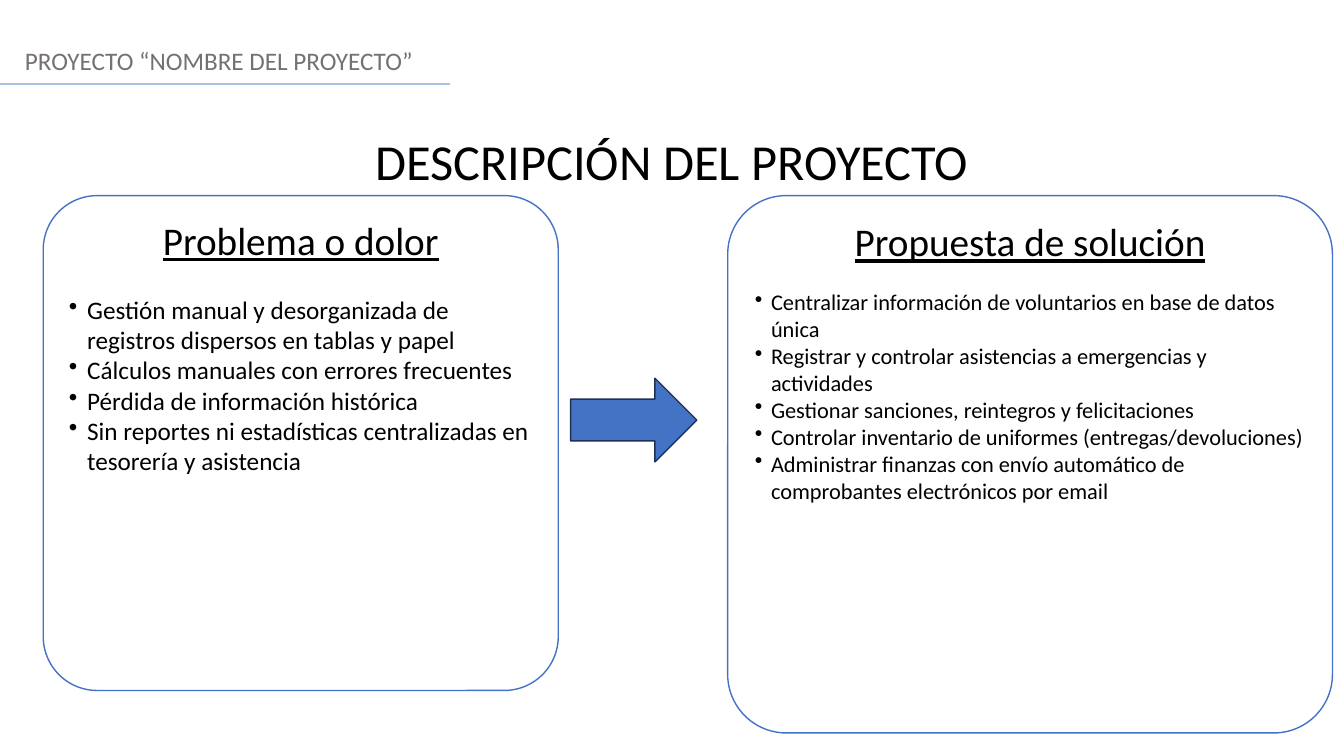
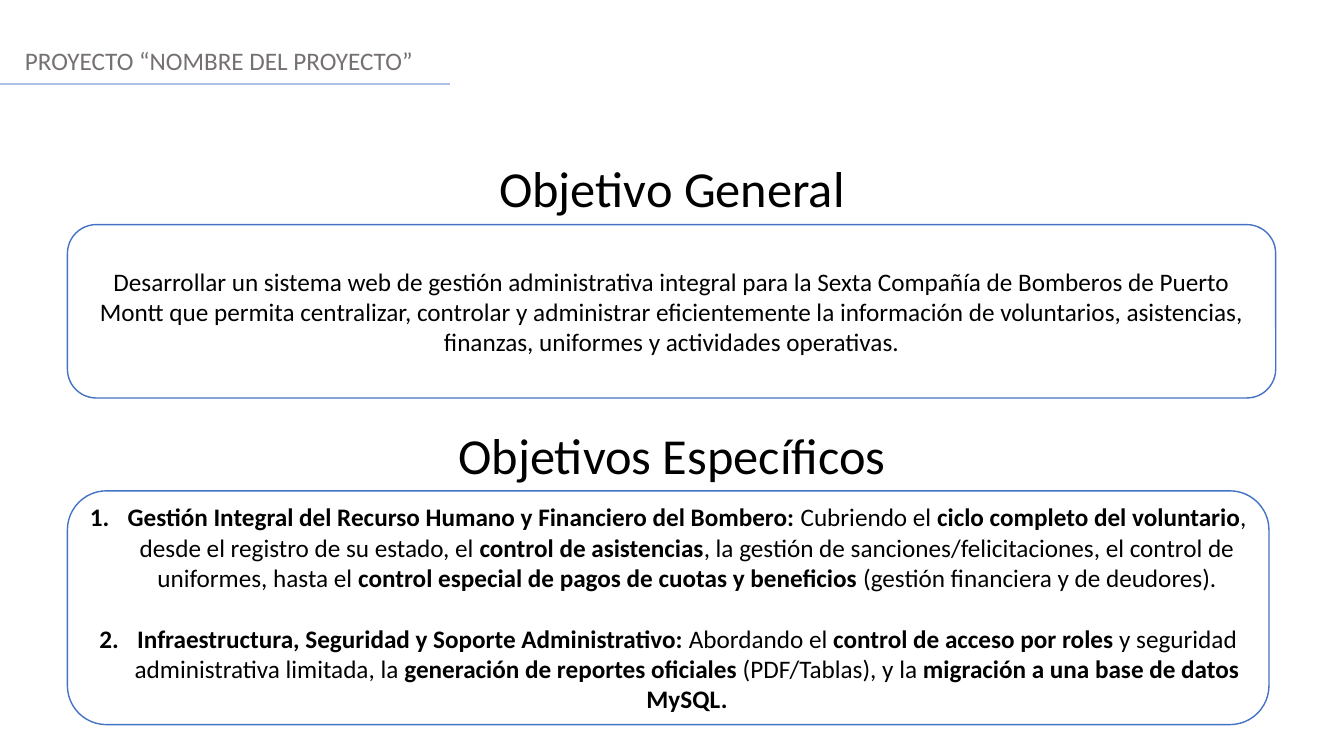
from dataclasses import dataclass

from lxml import etree
from pptx import Presentation
from pptx.dml.color import RGBColor
from pptx.enum import shapes, text
from pptx.oxml import ns
from pptx.util import Cm, Pt


@dataclass(frozen=True)
class Theme:
    font: str = "Calibri"
    ink: str = "000000"
    muted: str = "767171"
    paper: str = "FFFFFF"
    accent: str = "4472C4"
    arrow_edge: str = "1E3256"
    rule: str = "ABC0E4"
    title_size: int = 36
    heading_size: int = 28
    body_size: int = 18
    small_size: int = 16
    outline: float = 1
    rule_width: float = 1.25


THEME = Theme()
SLIDE_WIDTH, SLIDE_HEIGHT = 33.87, 19.05
TITLE_HEIGHT = 1.8
TITLE_ONLY = 5

PROBLEMS = [
    "Gestión manual y desorganizada de registros dispersos en tablas y papel",
    "Cálculos manuales con errores frecuentes",
    "Pérdida de información histórica",
    "Sin reportes ni estadísticas centralizadas en tesorería y asistencia",
]
SOLUTIONS = [
    "Centralizar información de voluntarios en base de datos única",
    "Registrar y controlar asistencias a emergencias y actividades",
    "Gestionar sanciones, reintegros y felicitaciones",
    "Controlar inventario de uniformes (entregas/devoluciones)",
    "Administrar finanzas con envío automático de comprobantes electrónicos por email",
]
GENERAL_GOAL = (
    "Desarrollar un sistema web de gestión administrativa integral para la Sexta "
    "Compañía de Bomberos de Puerto Montt que permita centralizar, controlar y "
    "administrar eficientemente la información de voluntarios, asistencias, "
    "finanzas, uniformes y actividades operativas."
)
# Double asterisks enclose bold text
SPECIFIC_GOALS = [
    "**Gestión Integral del Recurso Humano y Financiero del Bombero:** Cubriendo el "
    "**ciclo completo del voluntario**, desde el registro de su estado, el "
    "**control de asistencias**, la gestión de sanciones/felicitaciones, el control "
    "de uniformes, hasta el **control especial de pagos de cuotas y beneficios** "
    "(gestión financiera y de deudores).",
    "**Infraestructura, Seguridad y Soporte Administrativo:** Abordando el "
    "**control de acceso por roles** y seguridad administrativa limitada, la "
    "**generación de reportes oficiales** (PDF/Tablas), y la "
    "**migración a una base de datos MySQL.**",
]


# Text helpers
def color(value):
    return RGBColor.from_string(value)


def write(paragraph, content, size, ink=THEME.ink, align=text.PP_ALIGN.LEFT):
    """Fill a paragraph, switching bold at each double asterisk."""
    paragraph.alignment = align
    for index, part in enumerate(content.split("**")):
        if not part:
            continue
        run = paragraph.add_run()
        run.text = part
        run.font.name = THEME.font
        run.font.size = Pt(size)
        run.font.bold = index % 2 == 1
        run.font.color.rgb = color(ink)


def add_marker(paragraph, hanging, tag, **attributes):
    properties = paragraph._p.get_or_add_pPr()
    properties.set("marL", str(Cm(hanging)))
    properties.set("indent", str(-Cm(hanging)))
    etree.SubElement(properties, ns.qn(tag), attributes)


# Slide elements
def place_title(shape, content, top):
    shape.left, shape.top = Cm(0), Cm(top)
    shape.width, shape.height = Cm(SLIDE_WIDTH), Cm(TITLE_HEIGHT)
    frame = shape.text_frame
    frame.word_wrap = True
    frame.auto_size = text.MSO_AUTO_SIZE.NONE
    frame.vertical_anchor = text.MSO_ANCHOR.TOP
    write(frame.paragraphs[0], content, THEME.title_size, align=text.PP_ALIGN.CENTER)


def add_section_title(slide, content, top):
    place_title(slide.shapes.add_textbox(0, 0, 0, 0), content, top)


def add_header(slide):
    label = slide.shapes.add_textbox(Cm(0.38), Cm(1.02), Cm(32.5), Cm(1.02))
    label.text_frame.word_wrap = True
    write(label.text_frame.paragraphs[0], "PROYECTO “NOMBRE DEL PROYECTO”",
          THEME.body_size, THEME.muted)
    rule = slide.shapes.add_connector(
        shapes.MSO_CONNECTOR.STRAIGHT, Cm(0), Cm(2.11), Cm(11.35), Cm(2.11))
    rule.line.color.rgb = color(THEME.rule)
    rule.line.width = Pt(THEME.rule_width)
    etree.SubElement(rule._element.spPr, ns.qn("a:effectLst"))


def add_block(slide, kind, box, fill, edge):
    shape = slide.shapes.add_shape(kind, *map(Cm, box))
    shape.shadow.inherit = False
    shape.fill.solid()
    shape.fill.fore_color.rgb = color(fill)
    shape.line.color.rgb = color(edge)
    shape.line.width = Pt(THEME.outline)
    return shape


def add_panel(slide, box, anchor=text.MSO_ANCHOR.MIDDLE):
    panel = add_block(slide, shapes.MSO_SHAPE.ROUNDED_RECTANGLE, box,
                      THEME.paper, THEME.accent)
    panel.text_frame.word_wrap = True
    panel.text_frame.vertical_anchor = anchor
    return panel


def add_bullet_panel(slide, box, heading, items, size, hanging, gap):
    panel = add_panel(slide, box, text.MSO_ANCHOR.TOP)
    panel.adjustments[0] = 0.109
    frame = panel.text_frame
    title = frame.paragraphs[0]
    write(title, heading, THEME.heading_size, align=text.PP_ALIGN.CENTER)
    title.runs[0].font.underline = True
    title.space_after = Pt(gap)
    for item in items:
        paragraph = frame.add_paragraph()
        add_marker(paragraph, hanging, "a:buChar", char="•")
        write(paragraph, item, size)


def add_numbered_panel(slide, box, items):
    frame = add_panel(slide, box).text_frame
    for index, item in enumerate(items):
        paragraph = frame.add_paragraph() if index else frame.paragraphs[0]
        add_marker(paragraph, 0.95, "a:buAutoNum", type="arabicPeriod")
        if index:
            paragraph.space_before = Pt(22)
        write(paragraph, item, THEME.body_size, align=text.PP_ALIGN.CENTER)


def add_slide(presentation, title, title_top):
    slide = presentation.slides.add_slide(presentation.slide_layouts[TITLE_ONLY])
    place_title(slide.shapes.title, title, title_top)
    add_header(slide)
    return slide


# Slides
def build_description(presentation):
    slide = add_slide(presentation, "DESCRIPCIÓN DEL PROYECTO", 3.15)
    add_bullet_panel(slide, (1.09, 4.93, 12.98, 12.47), "Problema o dolor",
                     PROBLEMS, THEME.body_size, hanging=0.46, gap=22)
    add_bullet_panel(slide, (18.34, 4.93, 15.24, 13.54), "Propuesta de solución",
                     SOLUTIONS, THEME.small_size, hanging=0.41, gap=17)
    add_block(slide, shapes.MSO_SHAPE.RIGHT_ARROW, (14.38, 9.53, 3.18, 2.11),
              THEME.accent, THEME.arrow_edge)


def build_goals(presentation):
    slide = add_slide(presentation, "Objetivo General", 3.84)
    add_section_title(slide, "Objetivos Específicos", 10.57)
    general = add_panel(slide, (1.7, 5.66, 30.45, 4.37))
    write(general.text_frame.paragraphs[0], GENERAL_GOAL, THEME.body_size,
          align=text.PP_ALIGN.CENTER)
    add_numbered_panel(slide, (1.7, 12.37, 30.28, 5.89), SPECIFIC_GOALS)


def main():
    presentation = Presentation()
    presentation.slide_width = Cm(SLIDE_WIDTH)
    presentation.slide_height = Cm(SLIDE_HEIGHT)
    build_description(presentation)
    build_goals(presentation)
    presentation.save("out.pptx")


if __name__ == "__main__":
    main()
